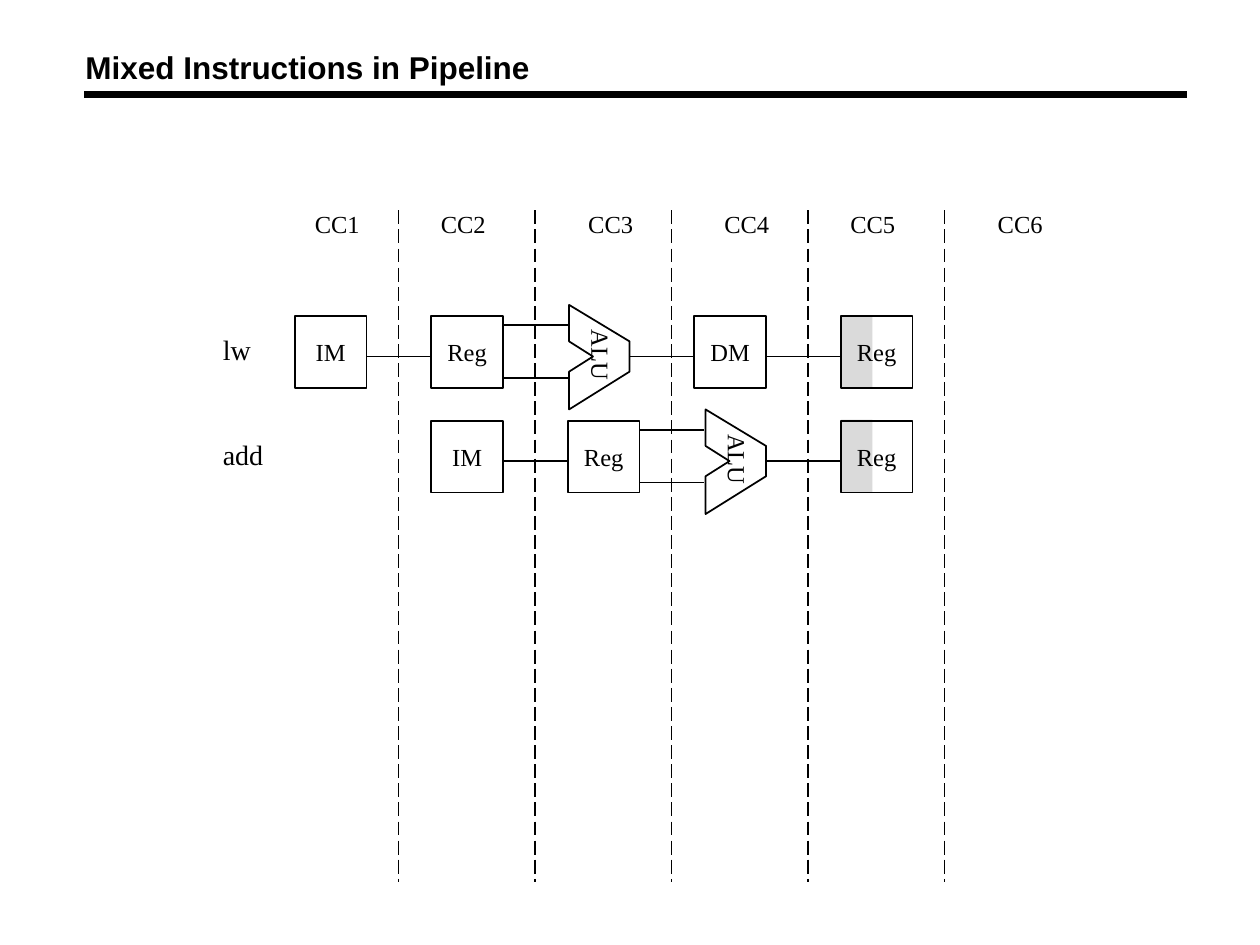
from lxml.etree import SubElement
from pptx import Presentation
from pptx.dml.color import RGBColor
from pptx.enum.dml import MSO_LINE
from pptx.enum.shapes import MSO_CONNECTOR, MSO_SHAPE
from pptx.enum.text import MSO_ANCHOR, PP_ALIGN
from pptx.oxml.ns import qn
from pptx.util import Inches, Pt

COLORS = {"ink": "000000", "shade": "DADADA"}
SERIF, SANS = "Times New Roman", "Arial"
CYCLE = 13 / 12  # width of one clock cycle
UNIT = 0.57  # side of a stage box
ALU_WIDTH, ALU_HEIGHT = 0.48, 0.83
AXIS = 0.33  # height of the data path below the top of a lane


def color(name):
    return RGBColor.from_string(COLORS[name])


def write(shape, text, size, font=SERIF, bold=False, align=PP_ALIGN.LEFT, wrap=False):
    frame = shape.text_frame
    frame.text = text
    frame.word_wrap = wrap
    para = frame.paragraphs[0]
    para.alignment = align
    span = para.runs[0]
    span.font.size, span.font.name, span.font.bold = Pt(size), font, bold
    span.font.color.rgb = color("ink")


def add_label(page, text, left, top, width, height, size, **style):
    box = page.shapes.add_textbox(
        Inches(left), Inches(top), Inches(width), Inches(height))
    write(box, text, size, **style)
    return box


def add_line(page, x1, y1, x2, y2, width=1, dash=None):
    line = page.shapes.add_connector(
        MSO_CONNECTOR.STRAIGHT, Inches(x1), Inches(y1), Inches(x2), Inches(y2))
    line.line.color.rgb = color("ink")
    line.line.width = Pt(width)
    if dash:
        line.line.dash_style = dash
    SubElement(line._element.spPr, qn("a:effectLst"))


def add_box(page, left, top, width, height, fill=None):
    box = page.shapes.add_shape(
        MSO_SHAPE.RECTANGLE, Inches(left), Inches(top), Inches(width), Inches(height))
    box.shadow.inherit = False
    if fill:
        box.fill.solid()
        box.fill.fore_color.rgb = color(fill)
        box.line.fill.background()
    else:
        box.fill.background()
        box.line.color.rgb = color("ink")
        box.line.width = Pt(1)
    return box


def add_stage(page, text, left, top, shaded):
    if shaded:
        add_box(page, left, top, 0.25, 0.58, fill="shade")
    box = add_box(page, left, top + 0.01, UNIT, UNIT)
    box.text_frame.vertical_anchor = MSO_ANCHOR.MIDDLE
    write(box, text, 14, align=PP_ALIGN.CENTER)


def add_alu(page, left, top):
    # Notched outline, clockwise from the top left corner
    points = [(0, 0), (ALU_WIDTH, 0.29), (ALU_WIDTH, 0.53), (0, ALU_HEIGHT),
              (0, 0.53), (0.19, 0.41), (0, 0.29)]
    corners = [(Inches(left + x), Inches(top + y)) for x, y in points]
    builder = page.shapes.build_freeform(*corners[0])
    builder.add_line_segments(corners[1:], close=True)
    outline = builder.convert_to_shape()
    outline.shadow.inherit = False
    outline.fill.background()
    outline.line.color.rgb = color("ink")
    outline.line.width = Pt(1)
    label = add_label(page, "ALU", left - 0.12, top + 0.23, 0.75, 0.33, 14,
                      align=PP_ALIGN.CENTER)
    label.rotation = 90


def add_header(page, left, top, width):
    add_line(page, left + 0.09, top + 0.42, left + width, top + 0.42, width=4.5)
    add_label(page, "Mixed Instructions in Pipeline", left, top, 4, 0.4, 18,
              font=SANS, bold=True, wrap=True)


def add_cycles(page, left, top, height):
    # Dashed borders between cycles, with a name in each column
    for border in range(1, 6):
        x = left + border * CYCLE
        add_line(page, x, top, x, top + height, dash=MSO_LINE.LONG_DASH)
    for number, x in enumerate([2.4, 3.4, 4.57, 5.65, 6.65, 7.82], 1):
        add_label(page, f"CC{number}", x, top - 0.06, 0.56, 0.33, 14)


def add_lane(page, name, stages, left, top):
    """Place one instruction; stages are (unit, cycle, shift) in order."""
    add_label(page, name, left - 0.41, top + 0.09, 0.66, 0.36, 16, wrap=True)
    previous_end = None
    for unit, cycle, shift in stages:
        x = left + 0.26 + (cycle - 1) * CYCLE + shift
        if unit == "ALU":
            add_alu(page, x + 0.01, top - 0.08)
            end, inputs = x + 0.01 + ALU_WIDTH, (0.08, 0.5)
        else:
            add_stage(page, unit, x, top, shaded=cycle == 5)
            end, inputs = x + UNIT, (AXIS,)
        if previous_end is not None:
            for y in inputs:
                add_line(page, previous_end, top + y, x, top + y)
        previous_end = end


def main():
    deck = Presentation()
    deck.slide_width, deck.slide_height = Inches(10), Inches(7.5)
    page = deck.slides.add_slide(deck.slide_layouts[6])
    add_header(page, 0.58, 0.33, 8.84)
    lanes = {
        "lw": [("IM", 1, 0), ("Reg", 2, 0), ("ALU", 3, 0),
               ("DM", 4, -0.08), ("Reg", 5, 0)],
        "add": [("IM", 2, 0), ("Reg", 3, 0), ("ALU", 4, 0), ("Reg", 5, 0)],
    }
    for row, (name, stages) in enumerate(lanes.items()):
        add_lane(page, name, stages, 2.08, 2.5 + row * 0.83)
    add_cycles(page, 2.08, 1.67, 5.33)
    deck.save("out.pptx")


if __name__ == "__main__":
    main()
